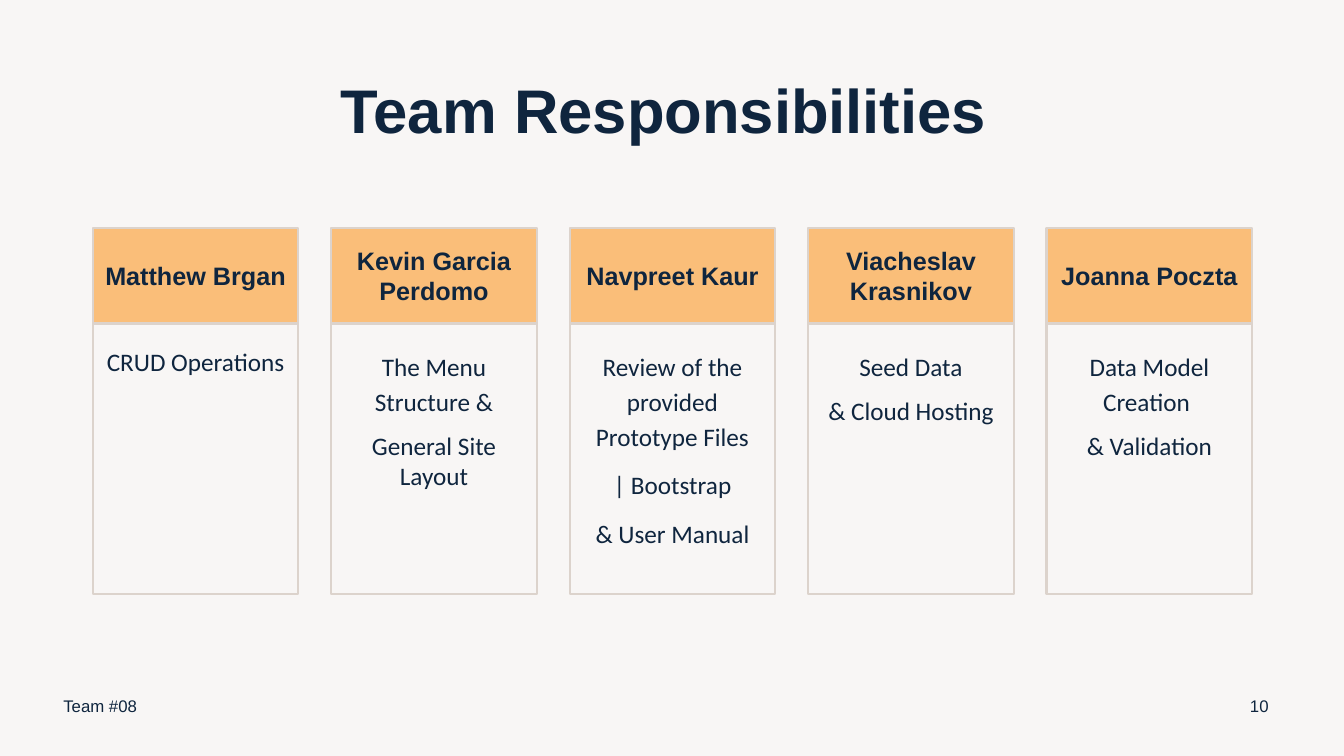
from dataclasses import dataclass

from pptx import Presentation
from pptx.dml.color import RGBColor
from pptx.enum.shapes import MSO_SHAPE
from pptx.enum.text import MSO_ANCHOR as Anchor, PP_ALIGN as Align
from pptx.util import Inches, Pt

TITLE = "Team Responsibilities "
FOOTER = "Team #08"
PAGE_NUMBER = "10"

# Member, loosely spaced duties, closing duties in single spacing
MEMBERS = [
    ("Matthew Brgan", [], ["CRUD Operations"]),
    ("Kevin Garcia Perdomo", ["The Menu Structure &"], ["General Site Layout"]),
    ("Navpreet Kaur",
     ["Review of the provided Prototype Files", "| Bootstrap", "& User Manual"], []),
    ("Viacheslav Krasnikov", ["Seed Data"], ["& Cloud Hosting"]),
    ("Joanna Poczta", ["Data Model Creation "], ["& Validation"]),
]


@dataclass(frozen=True)
class Theme:
    background: RGBColor = RGBColor(0xF8, 0xF6, 0xF5)
    ink: RGBColor = RGBColor(0x0F, 0x25, 0x3E)
    border: RGBColor = RGBColor(0xDC, 0xD3, 0xCC)
    header: RGBColor = RGBColor(0xFA, 0xBE, 0x79)
    heading_font: str = "Arial"
    body_font: str = "Calibri"
    title_size: int = 44
    card_size: int = 18
    footer_size: int = 12


THEME = Theme()

CARD_LEFT, CARD_WIDTH, CARD_PITCH = 0.92, 2.04, 2.365
HEADER_TOP, HEADER_HEIGHT = 2.26, 0.95
DUTIES_TOP, DUTIES_HEIGHT, DUTIES_INSET = 3.2, 2.69, 0.24


def write(shape, lines, font, size, bold=False, align=Align.CENTER, anchor=Anchor.MIDDLE):
    """Fill a shape with one paragraph per line and return the paragraphs."""
    frame = shape.text_frame
    frame.word_wrap = True
    frame.vertical_anchor = anchor
    frame.text = "\n".join(lines)
    for paragraph in frame.paragraphs:
        paragraph.alignment = align
        paragraph.font.name = font
        paragraph.font.size = Pt(size)
        paragraph.font.bold = bold
        paragraph.font.color.rgb = THEME.ink
    return frame.paragraphs


def add_text(slide, box, text, size, **style):
    shape = slide.shapes.add_textbox(*map(Inches, box))
    return write(shape, [text], THEME.heading_font, size, **style)


def add_box(slide, box, fill=None):
    shape = slide.shapes.add_shape(MSO_SHAPE.RECTANGLE, *map(Inches, box))
    shape.shadow.inherit = False
    if fill is None:
        shape.fill.background()
    else:
        shape.fill.solid()
        shape.fill.fore_color.rgb = fill
    shape.line.color.rgb = THEME.border
    shape.line.width = Pt(1.5)
    return shape


def add_member(slide, left, name, loose, single):
    duties = add_box(slide, (left, DUTIES_TOP, CARD_WIDTH, DUTIES_HEIGHT))
    duties.text_frame.margin_top = Inches(DUTIES_INSET)
    paragraphs = write(duties, loose + single, THEME.body_font, THEME.card_size,
                       anchor=Anchor.TOP)
    for paragraph in paragraphs[:len(loose)]:
        paragraph.line_spacing = 1.15
        paragraph.space_after = Pt(10)

    header = add_box(slide, (left, HEADER_TOP, CARD_WIDTH, HEADER_HEIGHT), THEME.header)
    write(header, [name], THEME.heading_font, THEME.card_size, bold=True)


def main():
    presentation = Presentation()
    presentation.slide_width = Inches(13.33)
    presentation.slide_height = Inches(7.5)
    slide = presentation.slides.add_slide(presentation.slide_layouts[6])
    slide.background.fill.solid()
    slide.background.fill.fore_color.rgb = THEME.background

    title = add_text(slide, (0.92, 0.4, 11.5, 1.45), TITLE, THEME.title_size, bold=True)
    title[0].line_spacing = 0.9
    for column, member in enumerate(MEMBERS):
        add_member(slide, CARD_LEFT + column * CARD_PITCH, *member)
    add_text(slide, (0.53, 6.8, 4.5, 0.4), FOOTER, THEME.footer_size, align=Align.LEFT)
    add_text(slide, (12.24, 6.8, 0.5, 0.4), PAGE_NUMBER, THEME.footer_size)

    presentation.save("out.pptx")


if __name__ == "__main__":
    main()
